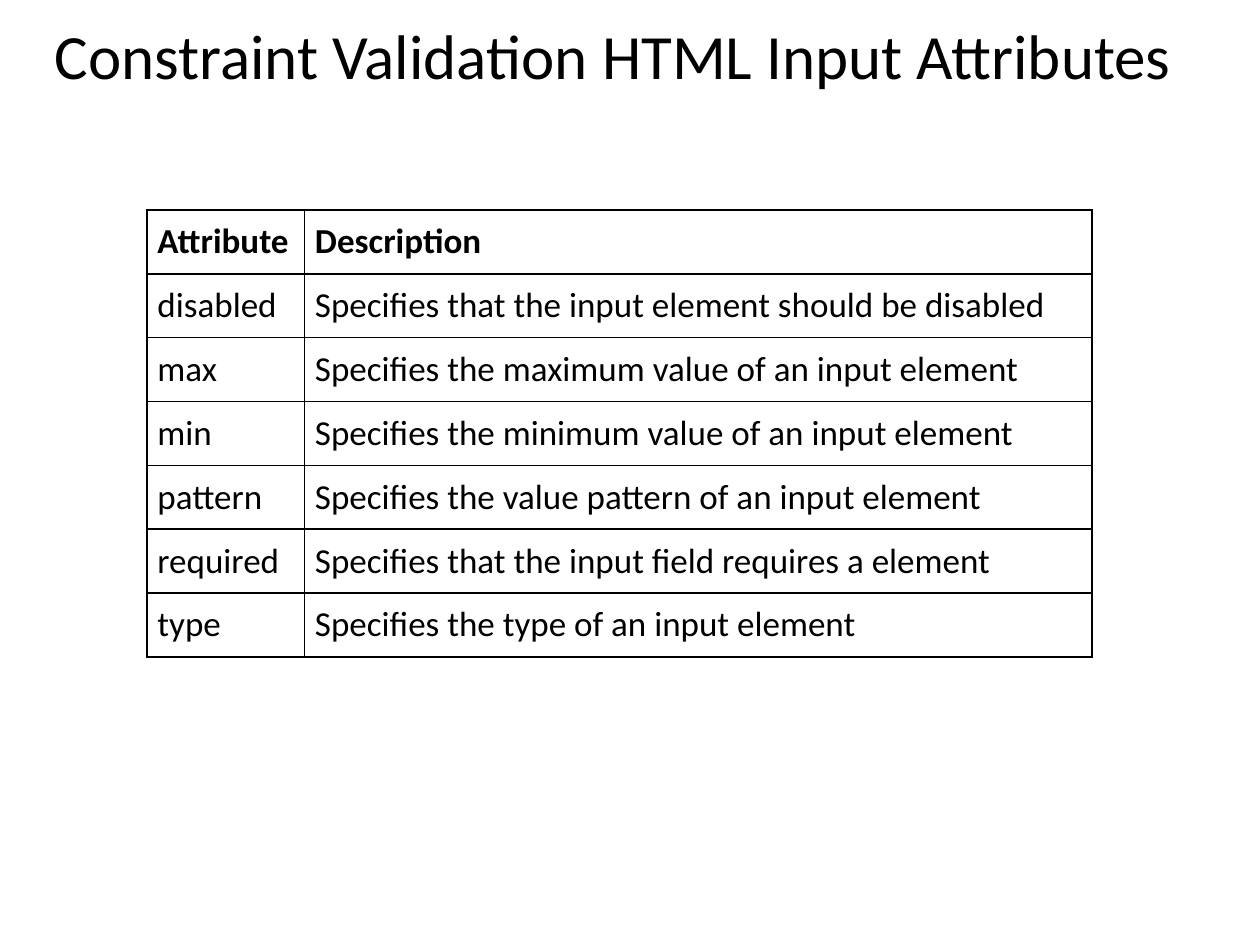
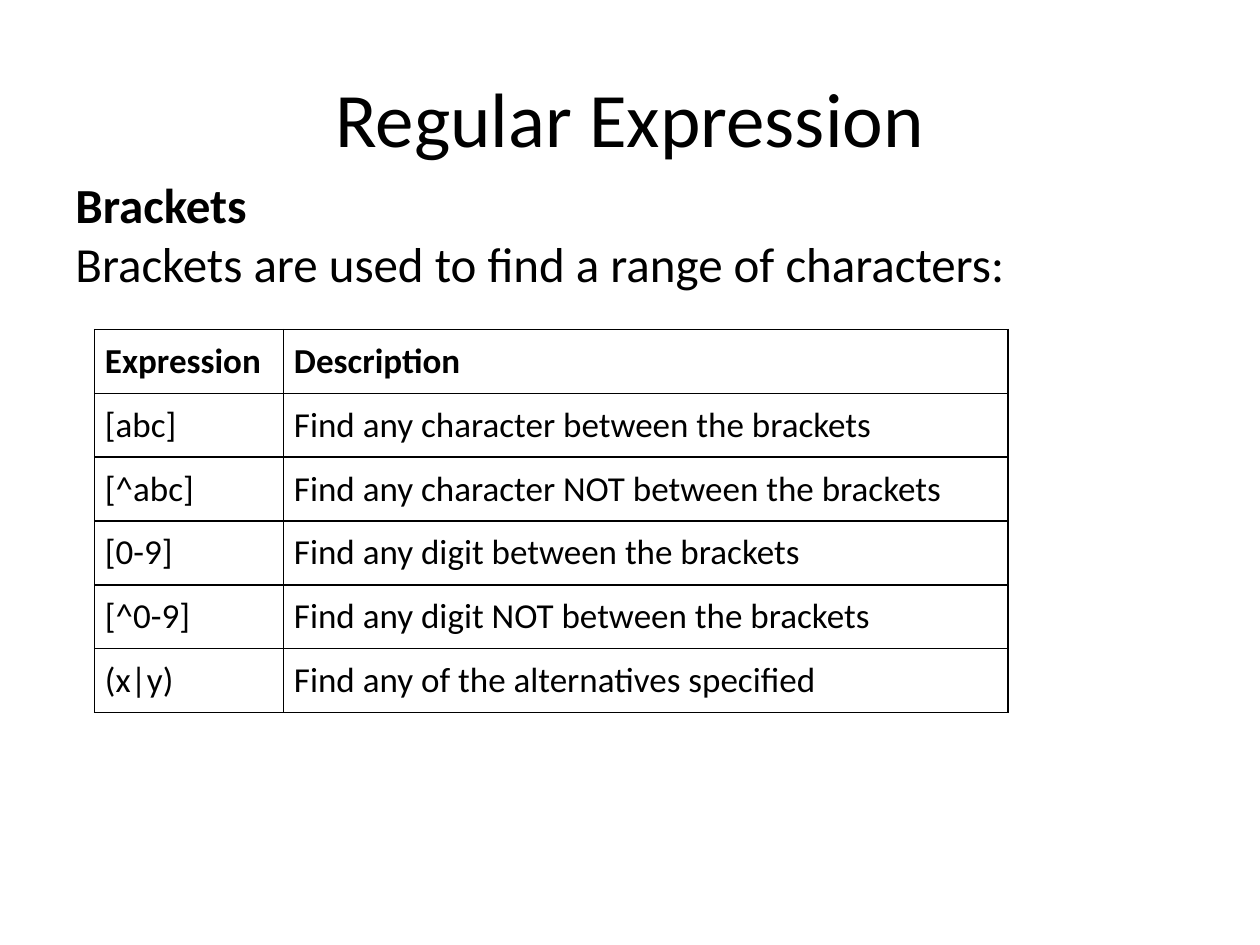
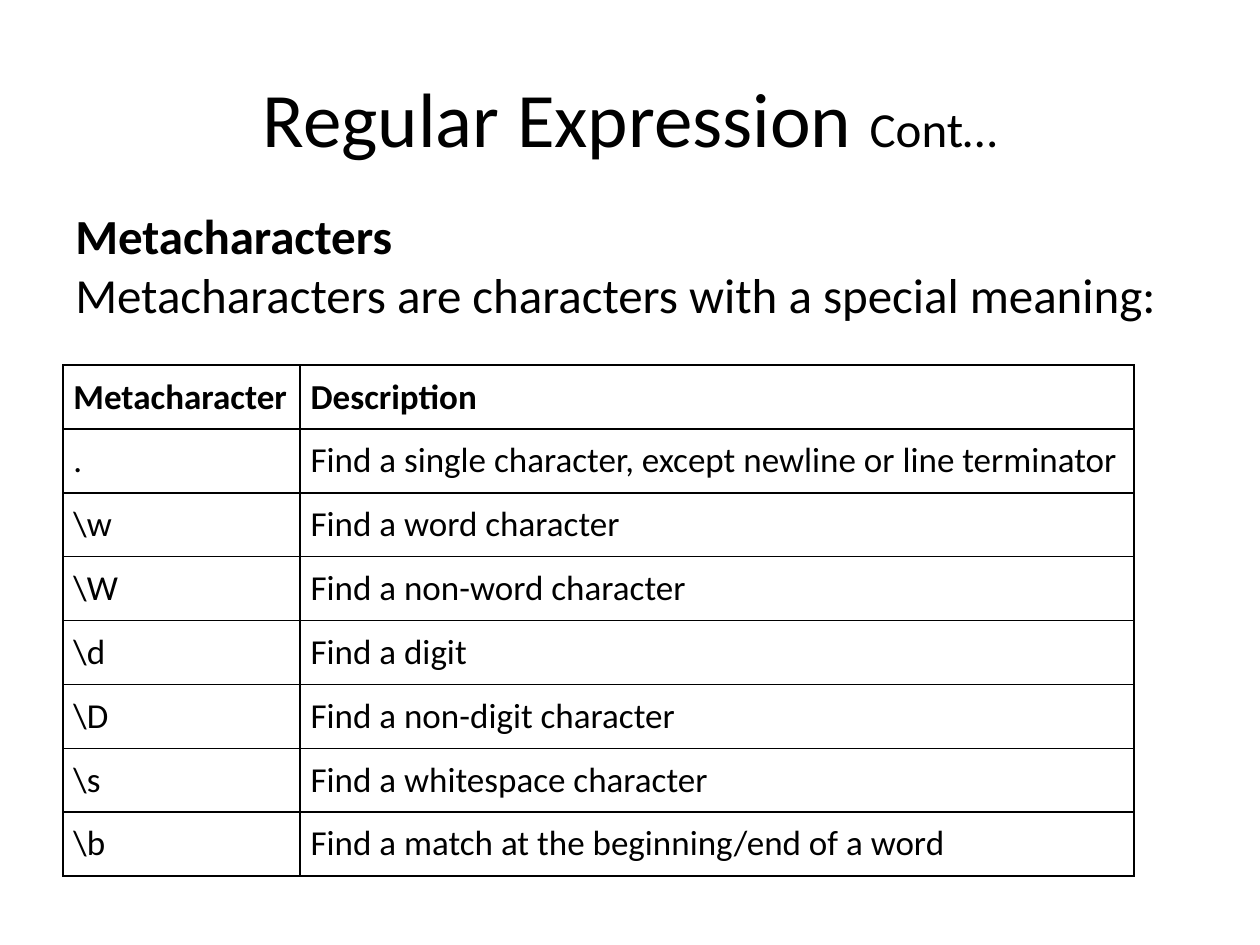
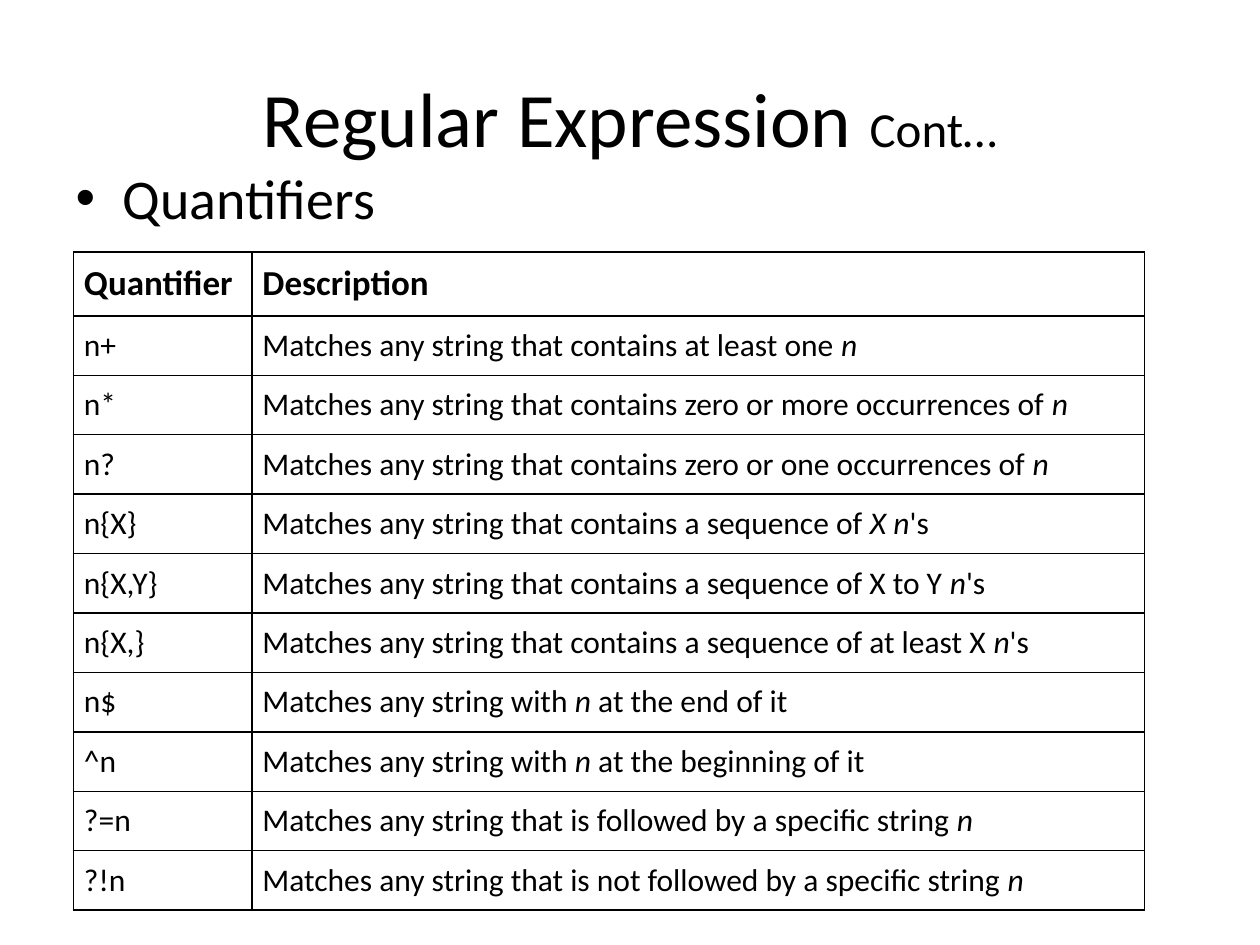
from lxml.etree import SubElement
from pptx import Presentation
from pptx.dml.color import RGBColor
from pptx.enum.text import MSO_ANCHOR, MSO_AUTO_SIZE, PP_ALIGN
from pptx.oxml.ns import qn
from pptx.util import Pt

BLACK = RGBColor(0x00, 0x00, 0x00)
FONT = "Calibri"
BORDER_WIDTH = Pt(1)
CELL_INSET = Pt(6)
ROW_MIN_HEIGHT = Pt(29.5)
TITLE_ONLY, TITLE_AND_BODY = 5, 1

# Boxes are left, top, width, height in points.
TITLE_BOX = (36, 21.6, 648, 90)
CONTINUED = [("Regular Expression ", 44), ("Cont…", 28)]

ATTRIBUTES = [
    ("Attribute", "Description"),
    ("disabled", "Specifies that the input element should be disabled"),
    ("max", "Specifies the maximum value of an input element"),
    ("min", "Specifies the minimum value of an input element"),
    ("pattern", "Specifies the value pattern of an input element"),
    ("required", "Specifies that the input field requires a element"),
    ("type", "Specifies the type of an input element"),
]
BRACKETS = [
    ("Expression", "Description"),
    ("[abc]", "Find any character between the brackets"),
    ("[^abc]", "Find any character NOT between the brackets"),
    ("[0-9]", "Find any digit between the brackets"),
    ("[^0-9]", "Find any digit NOT between the brackets"),
    ("(x|y)", "Find any of the alternatives specified"),
]
METACHARACTERS = [
    ("Metacharacter", "Description"),
    (".", "Find a single character, except newline or line terminator"),
    (r"\w", "Find a word character"),
    (r"\W", "Find a non-word character"),
    (r"\d", "Find a digit"),
    (r"\D", "Find a non-digit character"),
    (r"\s", "Find a whitespace character"),
    (r"\b", "Find a match at the beginning/end of a word"),
]
# Words between underscores are italic.
QUANTIFIERS = [
    ("Quantifier", "Description"),
    ("n+", "Matches any string that contains at least one _n_"),
    ("n*", "Matches any string that contains zero or more occurrences of _n_"),
    ("n?", "Matches any string that contains zero or one occurrences of _n_"),
    ("n{X}", "Matches any string that contains a sequence of _X n_'s"),
    ("n{X,Y}", "Matches any string that contains a sequence of X to Y _n_'s"),
    ("n{X,}", "Matches any string that contains a sequence of at least X _n_'s"),
    ("n$", "Matches any string with _n_ at the end of it"),
    ("^n", "Matches any string with _n_ at the beginning of it"),
    ("?=n", "Matches any string that is followed by a specific string _n_"),
    ("?!n", "Matches any string that is not followed by a specific string _n_"),
]


def set_attributes(target, values):
    for name, value in values.items():
        setattr(target, name, value)


def place(shape, box):
    names = ("left", "top", "width", "height")
    set_attributes(shape, dict(zip(names, map(Pt, box))))


def add_run(paragraph, text, size, **styles):
    run = paragraph.add_run()
    run.text = text
    set_attributes(run.font, {"name": FONT, "size": Pt(size), **styles})
    run.font.color.rgb = BLACK


def fill_title(slide, parts, box=TITLE_BOX, align=PP_ALIGN.CENTER):
    """Write the title from (text, size) parts."""
    title = slide.shapes.title
    place(title, box)
    title.text_frame.vertical_anchor = MSO_ANCHOR.MIDDLE
    paragraph = title.text_frame.paragraphs[0]
    paragraph.alignment = align
    for text, size in parts:
        add_run(paragraph, text, size)


def fill_body(slide, text, box):
    body = slide.placeholders[1]
    place(body, box)
    paragraph = body.text_frame.paragraphs[0]
    paragraph.space_before = Pt(0)
    add_run(paragraph, text, 32)


def add_intro(slide, heading, sentence, box):
    frame = slide.shapes.add_textbox(*map(Pt, box)).text_frame
    set_attributes(frame, {"word_wrap": True,
                           "auto_size": MSO_AUTO_SIZE.SHAPE_TO_FIT_TEXT})
    add_run(frame.paragraphs[0], heading, 28, bold=True)
    add_run(frame.add_paragraph(), sentence, 28)


def add_borders(cell):
    properties = cell._tc.get_or_add_tcPr()
    for position, side in enumerate(("a:lnL", "a:lnR", "a:lnT", "a:lnB")):
        line = SubElement(properties, qn(side), w=str(int(BORDER_WIDTH)))
        fill = SubElement(line, qn("a:solidFill"))
        SubElement(fill, qn("a:srgbClr"), val=str(BLACK))
        properties.insert(position, line)


def fill_cell(cell, text, size, bold):
    set_attributes(cell, {f"margin_{side}": CELL_INSET
                          for side in ("left", "right", "top", "bottom")})
    cell.fill.background()
    add_borders(cell)
    for index, part in enumerate(text.split("_")):
        if part:
            add_run(cell.text_frame.paragraphs[0], part, size,
                    bold=bold, italic=index % 2 == 1)


def add_reference_table(slide, entries, left, top, column_widths, height,
                        text_size=20):
    """Draw a bold header row and one bordered row for each entry."""
    frame = slide.shapes.add_table(len(entries), len(column_widths), Pt(left),
                                   Pt(top), Pt(sum(column_widths)), Pt(height))
    table = frame.table
    set_attributes(table, {"first_row": False, "horz_banding": False})
    for column, width in zip(table.columns, column_widths):
        column.width = Pt(width)
    for index, (row, entry) in enumerate(zip(table.rows, entries)):
        row.height = ROW_MIN_HEIGHT
        header = index == 0
        for cell, text in zip(row.cells, entry):
            fill_cell(cell, text, 20 if header else text_size, header)
    frame.height = Pt(height)


def add_slide(deck, layout):
    return deck.slides.add_slide(deck.slide_layouts[layout])


def main():
    deck = Presentation()
    set_attributes(deck, {"slide_width": Pt(720), "slide_height": Pt(540)})

    attributes = add_slide(deck, TITLE_ONLY)
    fill_title(attributes, [("Constraint Validation HTML Input Attributes", 36)],
               (24, 0, 660, 62.5), PP_ALIGN.LEFT)
    add_reference_table(attributes, ATTRIBUTES, 84, 120, (90, 450), 252)

    brackets = add_slide(deck, TITLE_ONLY)
    fill_title(brackets, [("Regular Expression", 44)])
    add_reference_table(brackets, BRACKETS, 54, 188.3, (108, 414), 216)
    add_intro(brackets, "Brackets",
              "Brackets are used to find a range of characters:",
              (36, 96, 630, 75))

    metacharacters = add_slide(deck, TITLE_ONLY)
    fill_title(metacharacters, CONTINUED)
    add_reference_table(metacharacters, METACHARACTERS, 36, 208.7,
                        (135.5, 476.5), 288)
    add_intro(metacharacters, "Metacharacters",
              "Metacharacters are characters with a special meaning:",
              (36, 114, 654, 108.5))

    quantifiers = add_slide(deck, TITLE_AND_BODY)
    fill_title(quantifiers, CONTINUED)
    fill_body(quantifiers, "Quantifiers", (36, 90, 648, 356.5))
    add_reference_table(quantifiers, QUANTIFIERS, 42, 144, (102, 510), 372,
                        text_size=18)

    deck.save("out.pptx")


if __name__ == "__main__":
    main()
